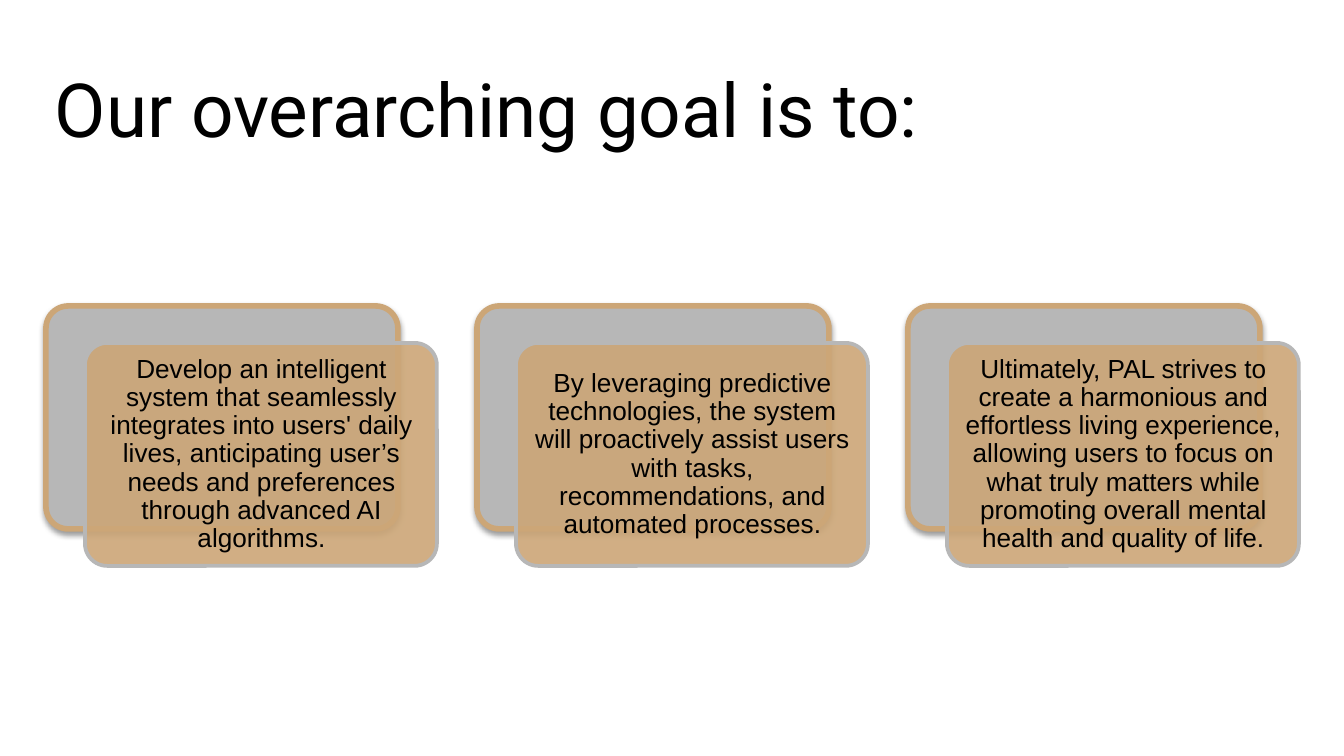
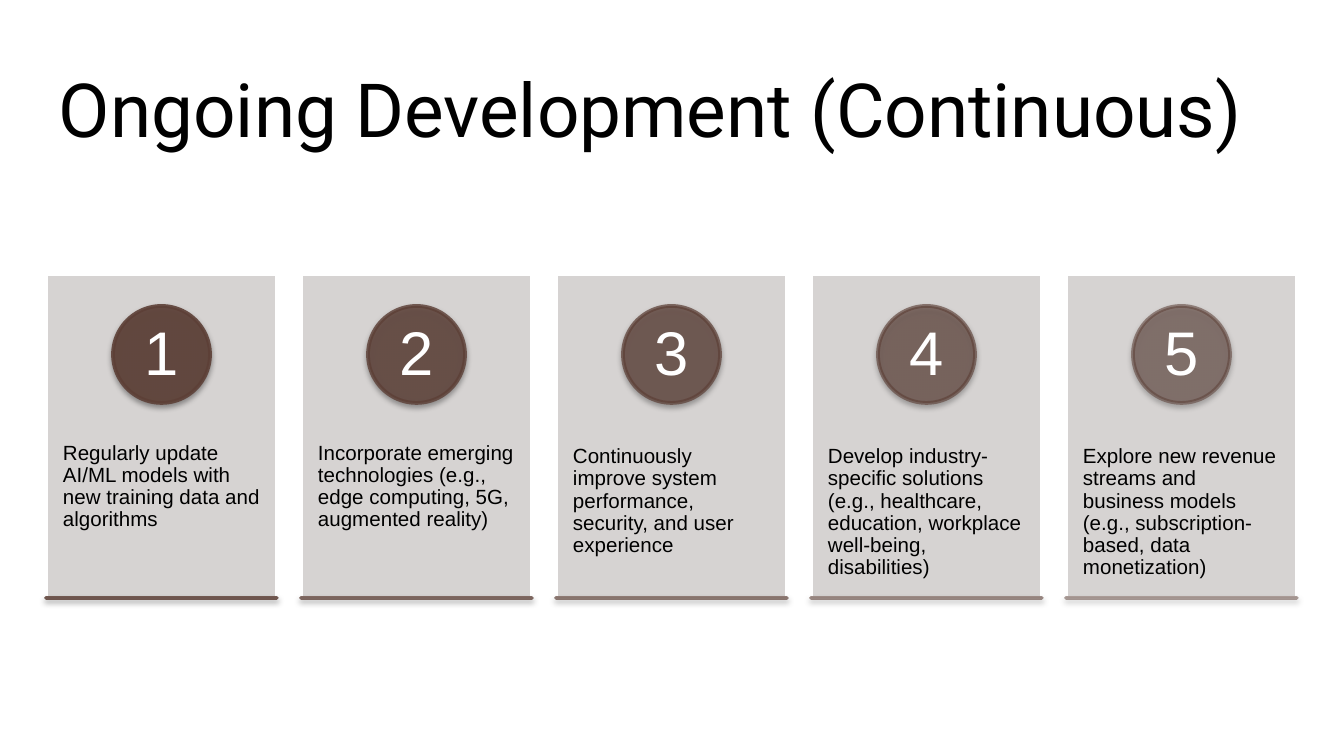
from lxml import etree
from pptx import Presentation
from pptx.dml.color import RGBColor
from pptx.enum.shapes import MSO_SHAPE
from pptx.enum.text import MSO_ANCHOR, PP_ALIGN
from pptx.oxml.ns import qn
from pptx.util import Pt

PX = 914400 / 134.4
BLACK = RGBColor(0x00, 0x00, 0x00)
WHITE = RGBColor(0xFF, 0xFF, 0xFF)
GRAY = RGBColor(0xB7, 0xB7, 0xB7)
TAN = RGBColor(0xCC, 0xA6, 0x77)
STONE = RGBColor(0xD2, 0xCF, 0xCE)
BROWN = RGBColor(0x5D, 0x40, 0x37)
ROUNDED = MSO_SHAPE.ROUNDED_RECTANGLE
RECTANGLE = MSO_SHAPE.RECTANGLE
OVAL = MSO_SHAPE.OVAL
TOP, MIDDLE = MSO_ANCHOR.TOP, MSO_ANCHOR.MIDDLE
LEFT, CENTER = PP_ALIGN.LEFT, PP_ALIGN.CENTER


def add_panel(slide, kind, box, fill, line, line_pt, fill_alpha=100, line_alpha=100, shadow=False):
    panel = slide.shapes.add_shape(kind, *[round(v * PX) for v in box])
    if kind == ROUNDED:
        panel.adjustments[0] = 0.1
    panel.fill.solid()
    panel.fill.fore_color.rgb = fill
    panel.line.color.rgb = line
    panel.line.width = Pt(line_pt)
    panel.shadow.inherit = False
    properties = panel._element.spPr
    colors = properties.findall(".//" + qn("a:srgbClr"))
    for color, alpha in zip(colors, (fill_alpha, line_alpha)):
        if alpha < 100:
            etree.SubElement(color, qn("a:alpha"), val=str(alpha * 1000))
    if shadow:
        outer = etree.SubElement(properties.find(qn("a:effectLst")), qn("a:outerShdw"),
                                 blurRad=str(Pt(3.1)), dist=str(Pt(1.6)),
                                 dir="5400000", rotWithShape="0")
        color = etree.SubElement(outer, qn("a:srgbClr"), val="000000")
        etree.SubElement(color, qn("a:alpha"), val="38000")


def add_text(slide, box, text, size, inset, align=CENTER, anchor=MIDDLE,
             font="Arial", color=BLACK, spacing=0.9):
    frame = slide.shapes.add_textbox(*[round(v * PX) for v in box]).text_frame
    frame.word_wrap = True
    frame.vertical_anchor = anchor
    frame.margin_left = frame.margin_right = round(inset[0] * PX)
    frame.margin_top = frame.margin_bottom = round(inset[1] * PX)
    frame.text = text
    paragraph = frame.paragraphs[0]
    paragraph.alignment = align
    paragraph.line_spacing = spacing
    run_font = paragraph.runs[0].font
    run_font.name = font
    run_font.size = Pt(size)
    run_font.color.rgb = color


goals = [
    "Develop an intelligent system that seamlessly integrates into users' daily lives, "
    "anticipating user’s needs and preferences through advanced AI algorithms.",
    "By leveraging predictive technologies, the system will proactively assist users "
    "with tasks, recommendations, and automated processes.",
    "Ultimately, PAL strives to create a harmonious and effortless living experience, "
    "allowing users to focus on what truly matters while promoting overall mental "
    "health and quality of life.",
]
developments = [
    "Regularly update AI/ML models with new training data and algorithms",
    "Incorporate emerging technologies (e.g., edge computing, 5G, augmented reality)",
    "Continuously improve system performance, security, and user experience",
    "Develop industry-specific solutions (e.g., healthcare, education, workplace "
    "well-being, disabilities)",
    "Explore new revenue streams and business models (e.g., subscription-based, "
    "data monetization)",
]

prs = Presentation()
prs.slide_width = round(1344 * PX)
prs.slide_height = round(756 * PX)

slides = []
for title, inset in [("Our overarching goal is to:", (9, 5)),
                     ("Ongoing Development (Continuous)", (13, 13))]:
    slide = prs.slides.add_slide(prs.slide_layouts[6])
    add_text(slide, (46, 47, 1252, 122), title, 40, inset, LEFT, font="Roboto", spacing=1.0)
    slides.append(slide)
goal_slide, development_slide = slides

for i, goal in enumerate(goals):
    x = 46 + 431 * i
    add_panel(goal_slide, ROUNDED, (x, 306, 352, 223), GRAY, TAN, 3, shadow=True)
    add_panel(goal_slide, ROUNDED, (x + 39, 343, 352, 223), TAN, GRAY, 2, fill_alpha=90)
    add_text(goal_slide, (x + 46, 349, 339, 211), goal, 14, (8, 8))

for i, development in enumerate(developments):
    x = 46 + 255 * i
    circle_alpha = 90 - 9 * i
    base_alpha = 86 - 9 * i
    add_panel(development_slide, RECTANGLE, (x, 274, 231, 324), STONE, WHITE, 2, fill_alpha=90)
    add_text(development_slide, (x, 398, 231, 195), development, 11, (17, 48), LEFT, TOP)
    add_panel(development_slide, OVAL, (x + 67, 306, 97, 97), BROWN, BROWN, 2,
              circle_alpha, circle_alpha, shadow=True)
    add_text(development_slide, (x + 81, 321, 69, 69), str(i + 1), 33, (8, 1), color=WHITE)
    add_panel(development_slide, RECTANGLE, (x, 598, 231, 0), BROWN, BROWN, 2,
              base_alpha, base_alpha, shadow=True)

prs.save("out.pptx")
